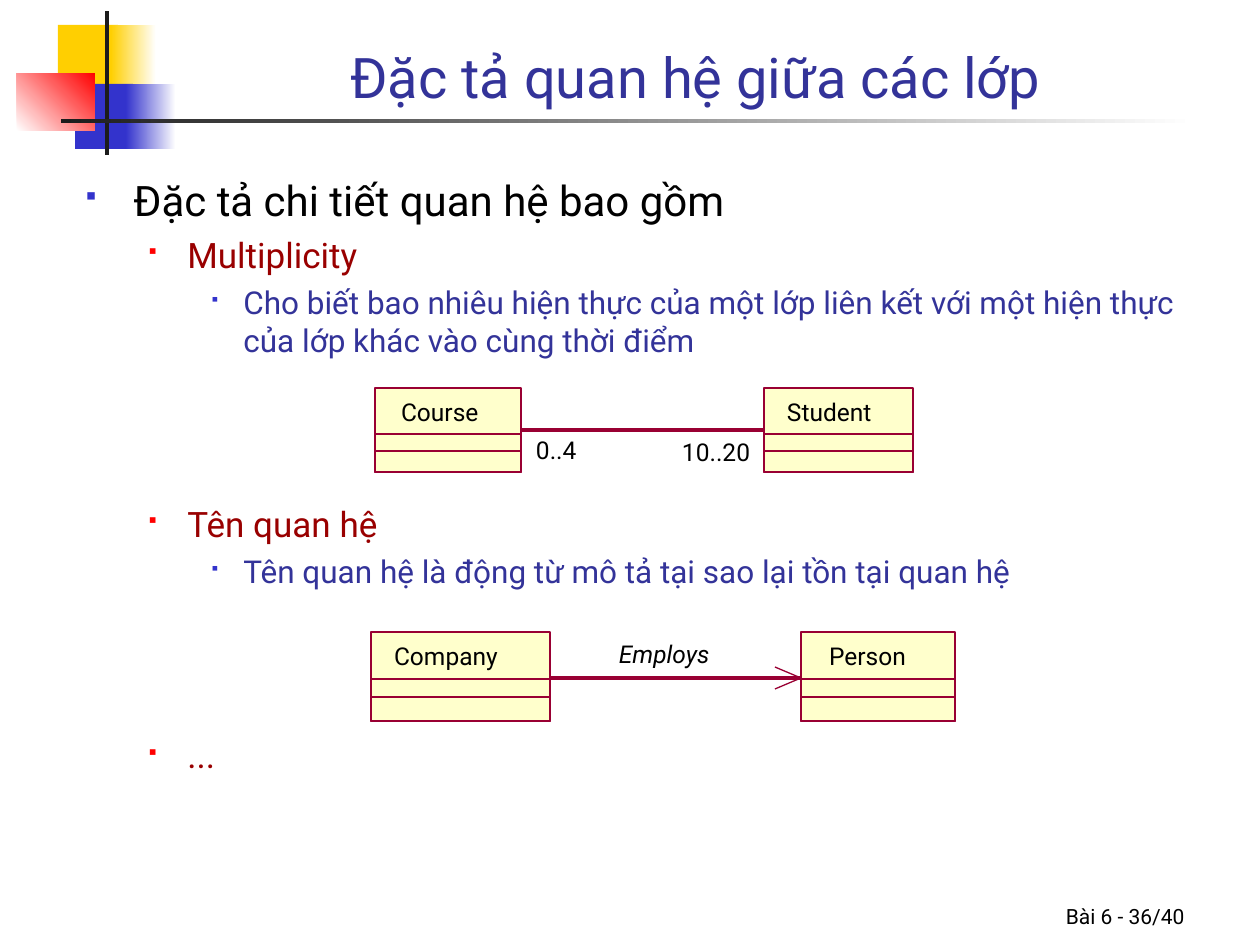
from lxml.etree import SubElement
from pptx import Presentation
from pptx.dml.color import RGBColor
from pptx.enum.shapes import MSO_CONNECTOR, MSO_SHAPE
from pptx.enum.text import MSO_ANCHOR, PP_ALIGN
from pptx.oxml.ns import qn
from pptx.util import Pt

EMU_PER_PX = 914400 / 126
COLORS = {
    "black": "000000", "white": "FFFFFF", "ink": "1C1C1C",
    "yellow": "FFCF01", "blue": "3333CC", "red": "FF0000",
    "navy": "333399", "maroon": "990000", "cream": "FFFFCC", "border": "990033",
}
LEVELS = [
    dict(size=24, color="black", bullet="blue", percent=60, left=48, hang=48, before=6),
    dict(size=20, color="maroon", bullet="red", percent=55, left=102, hang=39, before=5),
    dict(size=18, color="navy", bullet="blue", percent=50, left=158, hang=32, before=4.5),
]
DIAGRAM_GAP = 82


def emu(px):
    return round(px * EMU_PER_PX)


def rgb(name):
    return RGBColor.from_string(COLORS[name])


def write(paragraph, text, size=14, color="black", italic=False, align=PP_ALIGN.LEFT):
    paragraph.alignment = align
    run = paragraph.add_run()
    run.text = text
    run.font.name = "Roboto"
    run.font.size = Pt(size)
    run.font.italic = italic
    run.font.color.rgb = rgb(color)


class SlideBuilder:
    def __init__(self, slide, border="border"):
        self.slide = slide
        self.shapes = slide.shapes
        self.border = border

    def outline(self, shape):
        shape.line.color.rgb = rgb(self.border)
        shape.line.width = 0

    def rect(self, x, y, w, h, fill=None, fade=None, angle=0, outlined=False):
        rect = self.shapes.add_shape(MSO_SHAPE.RECTANGLE, *map(emu, (x, y, w, h)))
        rect.shadow.inherit = False
        if fade:
            rect.fill.gradient()
            rect.fill.gradient_angle = angle
            for stop, name in zip(rect.fill.gradient_stops, (fill, fade)):
                stop.color.rgb = rgb(name)
        elif fill:
            rect.fill.solid()
            rect.fill.fore_color.rgb = rgb(fill)
        else:
            rect.fill.background()
        if outlined:
            self.outline(rect)
        else:
            rect.line.fill.background()

    def frame(self, x, y, w, h, anchor=MSO_ANCHOR.TOP):
        frame = self.shapes.add_textbox(*map(emu, (x, y, w, h))).text_frame
        frame.word_wrap = True
        frame.vertical_anchor = anchor
        return frame

    def label(self, x, y, w, text, **style):
        frame = self.frame(x, y, w, 29)
        frame.word_wrap = False
        frame.margin_left = frame.margin_right = 0
        frame.margin_top = frame.margin_bottom = 0
        write(frame.paragraphs[0], text, **style)

    def outline_list(self, x, y, w, h, items):
        frame = self.frame(x, y, w, h)
        for index, (depth, text, gap) in enumerate(items):
            paragraph = frame.add_paragraph() if index else frame.paragraphs[0]
            level = LEVELS[depth]
            paragraph.level = depth
            paragraph.space_before = Pt(level["before"] + gap)
            write(paragraph, text, size=level["size"], color=level["color"])
            props = paragraph._p.get_or_add_pPr()
            props.set("marL", str(emu(level["left"])))
            props.set("indent", str(-emu(level["hang"])))
            bullet_color = SubElement(props, qn("a:buClr"))
            SubElement(bullet_color, qn("a:srgbClr"), val=COLORS[level["bullet"]])
            SubElement(props, qn("a:buSzPct"), val=str(level["percent"] * 1000))
            SubElement(props, qn("a:buFont"), typeface="Wingdings")
            SubElement(props, qn("a:buChar"), char="§")

    def class_box(self, x, y, w, h, dividers, name, name_x, name_w):
        self.rect(x, y, w, h, fill="cream", outlined=True)
        for offset in dividers:
            self.rect(x, y + offset, w, h - offset, outlined=True)
        self.label(name_x, y + 9, name_w, name)

    def association(self, x1, x2, y):
        line = self.shapes.add_connector(
            MSO_CONNECTOR.STRAIGHT, *map(emu, (x1, y, x2, y)))
        self.outline(line)
        SubElement(line._element.spPr, qn("a:effectLst"))

    def open_arrowhead(self, tip_x, tip_y, length, half):
        back = tip_x - length
        builder = self.shapes.build_freeform(emu(back), emu(tip_y - half))
        builder.add_line_segments(
            [(emu(tip_x), emu(tip_y)), (emu(back), emu(tip_y + half))], close=False)
        head = builder.convert_to_shape()
        head.shadow.inherit = False
        head.fill.background()
        self.outline(head)


def main():
    deck = Presentation()
    deck.slide_width, deck.slide_height = emu(1260), emu(945)
    page = SlideBuilder(deck.slides.add_slide(deck.slide_layouts[6]))

    page.rect(58, 25, 60, 66, "yellow")
    page.rect(111, 25, 45, 66, "yellow", fade="white")
    page.rect(75, 84, 58, 65, "blue")
    page.rect(126, 84, 50, 65, "blue", fade="white")
    page.rect(17, 73, 78, 58, "white", fade="red", angle=45)
    page.rect(105, 11, 4, 144, "ink")
    page.rect(61, 119, 1134, 4, "ink", fade="white")

    footer = page.frame(935, 872, 262, 63, MSO_ANCHOR.BOTTOM)
    write(footer.paragraphs[0], "Bài 6 - 36/40", size=12, align=PP_ALIGN.RIGHT)
    title = page.frame(159, 10, 1074, 106, MSO_ANCHOR.BOTTOM)
    write(title.paragraphs[0], "Đặc tả quan hệ giữa các lớp",
          size=32, color="navy", align=PP_ALIGN.CENTER)

    page.outline_list(73, 168, 1160, 693, [
        (0, "Đặc tả chi tiết quan hệ bao gồm", 0),
        (1, "Multiplicity", 0),
        (2, "Cho biết bao nhiêu hiện thực của một lớp liên kết với "
            "một hiện thực của lớp khác vào cùng thời điểm", 0),
        (1, "Tên quan hệ", DIAGRAM_GAP - 5),
        (2, "Tên quan hệ là động từ mô tả tại sao lại tồn tại quan hệ", 0),
        (1, "...", DIAGRAM_GAP - 5),
    ])

    enrolment_dividers = (46, 63)
    page.class_box(375, 388, 146, 84, enrolment_dividers, "Course", 401, 82)
    page.class_box(764, 388, 149, 84, enrolment_dividers, "Student", 787, 91)
    page.association(521, 763, 430)
    page.label(536, 435, 42, "0..4")
    page.label(682, 437, 69, "10..20")

    employment_dividers = (47, 65)
    page.class_box(371, 632, 179, 89, employment_dividers, "Company", 394, 110)
    page.class_box(801, 632, 154, 89, employment_dividers, "Person", 829, 81)
    page.association(550, 801, 678)
    page.open_arrowhead(801, 678, 26, 11)
    page.label(619, 639, 91, "Employs", italic=True)

    deck.save("out.pptx")


if __name__ == "__main__":
    main()
